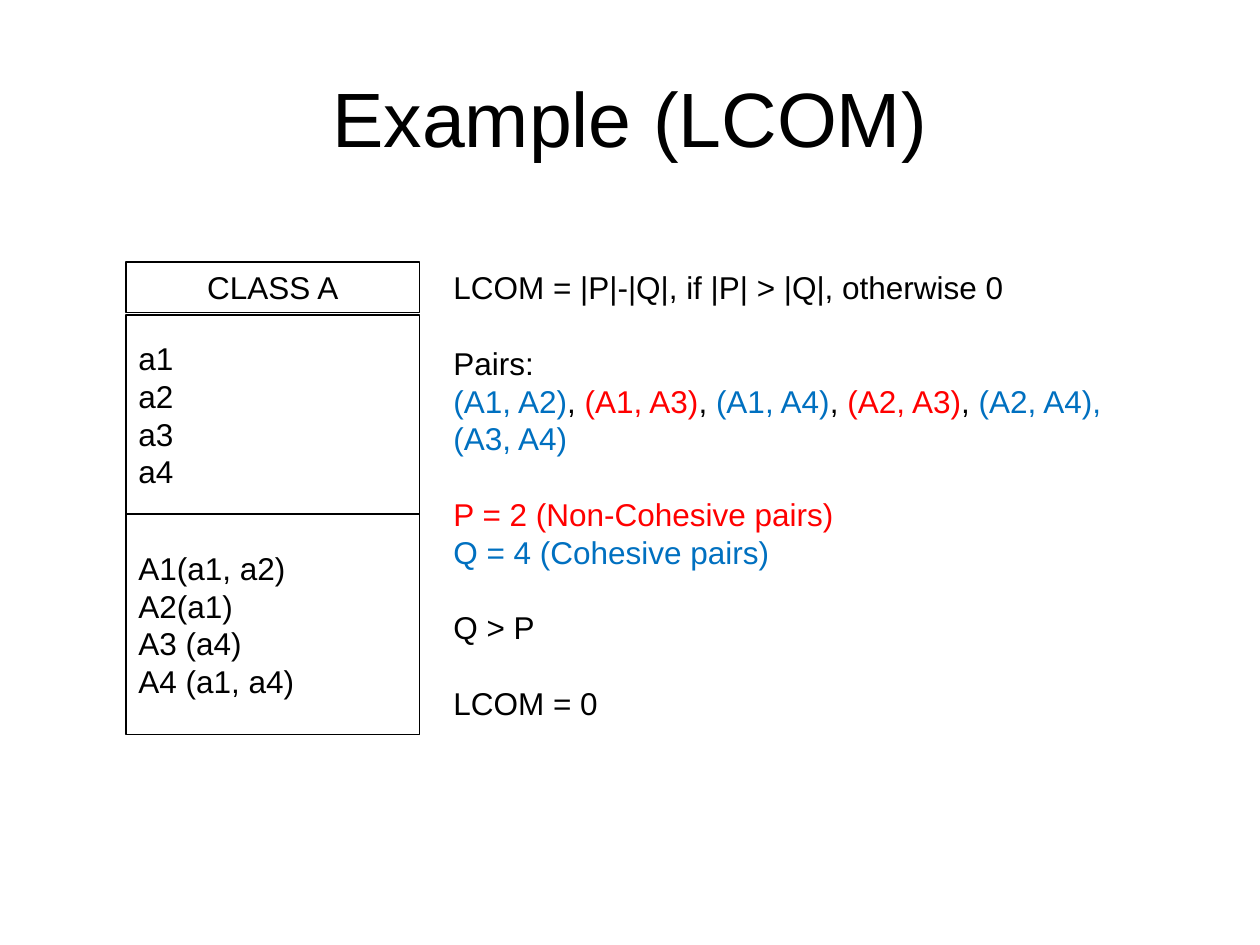
"""Build the LCOM example slide with a class diagram and its worked calculation."""
from pptx import Presentation
from pptx.dml.color import RGBColor
from pptx.enum.shapes import MSO_SHAPE
from pptx.enum.text import MSO_ANCHOR, PP_ALIGN
from pptx.util import Inches, Pt

BLACK = RGBColor(0x00, 0x00, 0x00)
WHITE = RGBColor(0xFF, 0xFF, 0xFF)
RED = RGBColor(0xFF, 0x00, 0x00)
BLUE = RGBColor(0x00, 0x70, 0xC0)
FONT = "Arial"
BODY_SIZE = 18
BLANK_LINE = 21.6

TITLE = [[("Example (LCOM)", BLACK)]]
CLASS_LEFT, CLASS_WIDTH = 1, 2.33
CLASS_SECTIONS = [
    (2.08, 0.4, None, PP_ALIGN.CENTER, ["CLASS A"]),
    (2.5, 1.58, WHITE, PP_ALIGN.LEFT, ["a1", "a2", "a3", "a4"]),
    (4.08, 1.75, WHITE, PP_ALIGN.LEFT,
     ["A1(a1, a2)", "A2(a1)", "A3 (a4)", "A4 (a1, a4)"]),
]
CALCULATION_BLOCKS = [
    [[("LCOM = |P|-|Q|, if |P| > |Q|, otherwise 0", BLACK)]],
    [
        [("Pairs:", BLACK)],
        [("(A1, A2)", BLUE), (", ", BLACK), ("(A1, A3)", RED), (", ", BLACK),
         ("(A1, A4)", BLUE), (", ", BLACK), ("(A2, A3)", RED), (", ", BLACK),
         ("(A2, A4), (A3, A4)", BLUE)],
    ],
    [[("P = 2 (Non-Cohesive pairs)", RED)], [("Q = 4 (Cohesive pairs)", BLUE)]],
    [[("Q > P", BLACK)]],
    [[("LCOM = 0", BLACK)]],
]


def write_blocks(shape, blocks, size=BODY_SIZE, alignment=PP_ALIGN.LEFT,
                 anchor=MSO_ANCHOR.TOP):
    """Write blocks of lines, with one line of space between blocks."""
    frame = shape.text_frame
    frame.word_wrap = True
    frame.vertical_anchor = anchor
    paragraph = None
    for block in blocks:
        for line_index, line in enumerate(block):
            first = paragraph is None
            paragraph = frame.paragraphs[0] if first else frame.add_paragraph()
            paragraph.alignment = alignment
            if line_index == 0 and not first:
                paragraph.space_before = Pt(BLANK_LINE)
            for text, color in line:
                run = paragraph.add_run()
                run.text = text
                run.font.name = FONT
                run.font.size = Pt(size)
                run.font.color.rgb = color


def add_text(slide, left, top, width, height, blocks, **style):
    """Add a wrapped text box."""
    box = slide.shapes.add_textbox(
        Inches(left), Inches(top), Inches(width), Inches(height))
    write_blocks(box, blocks, **style)


def add_class_diagram(slide):
    """Add the grouped sections of the class."""
    group = slide.shapes.add_group_shape()
    for top, height, fill, alignment, lines in CLASS_SECTIONS:
        section = group.shapes.add_shape(
            MSO_SHAPE.RECTANGLE, Inches(CLASS_LEFT), Inches(top),
            Inches(CLASS_WIDTH), Inches(height))
        section.shadow.inherit = False
        if fill is None:
            section.fill.background()
        else:
            section.fill.solid()
            section.fill.fore_color.rgb = fill
        section.line.color.rgb = BLACK
        section.line.width = Pt(1)
        write_blocks(section, [[[(line, BLACK)] for line in lines]],
                     alignment=alignment, anchor=MSO_ANCHOR.MIDDLE)


def main():
    """Create and save the presentation."""
    presentation = Presentation()
    presentation.slide_width = Inches(10)
    presentation.slide_height = Inches(7.5)
    slide = presentation.slides.add_slide(presentation.slide_layouts[6])
    add_text(slide, 0.5, 0.3, 9, 1.25, [TITLE], size=44,
             alignment=PP_ALIGN.CENTER, anchor=MSO_ANCHOR.MIDDLE)
    add_class_diagram(slide)
    add_text(slide, 3.5, 2.08, 5.75, 3.74, CALCULATION_BLOCKS)
    presentation.save("out.pptx")


if __name__ == "__main__":
    main()
